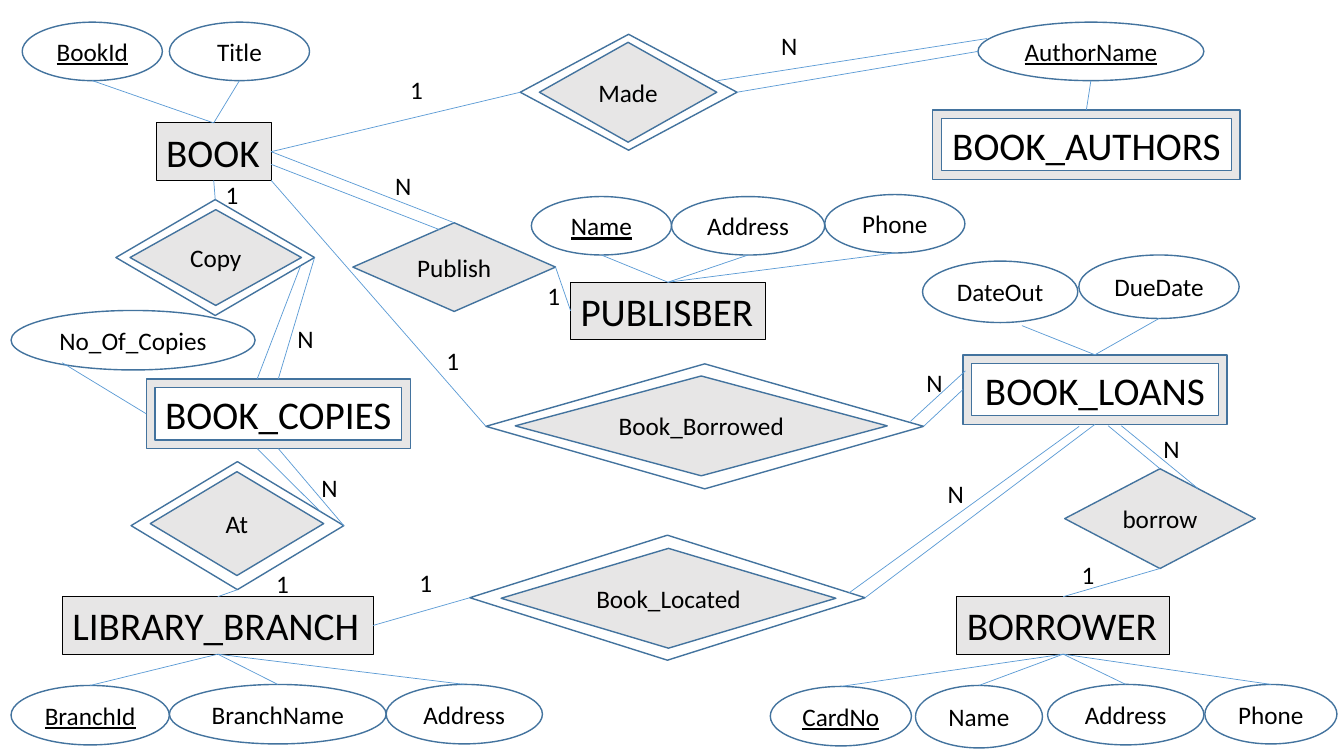
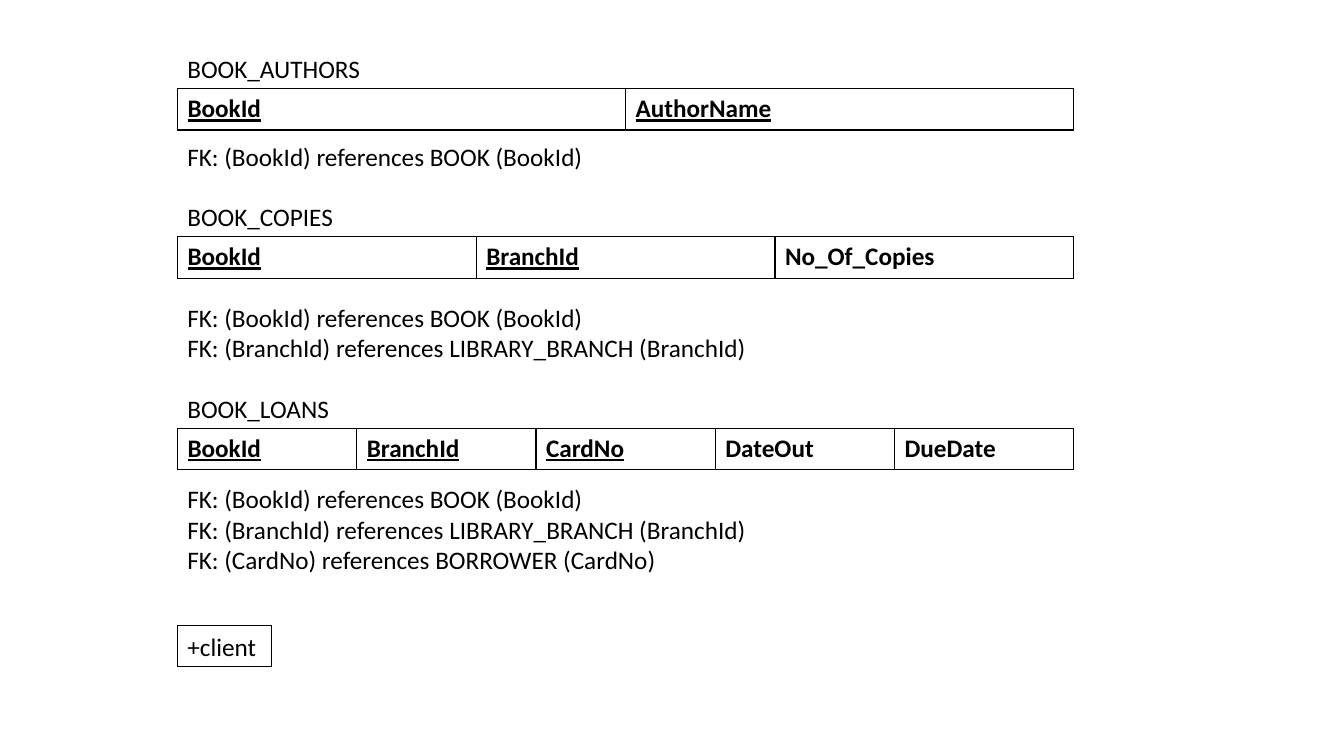
from lxml.etree import SubElement
from pptx import Presentation
from pptx.dml.color import RGBColor
from pptx.enum.shapes import MSO_CONNECTOR, MSO_SHAPE
from pptx.enum.text import MSO_ANCHOR, MSO_AUTO_SIZE, PP_ALIGN
from pptx.oxml.ns import qn
from pptx.util import Inches, Pt

# The slide is a grid of 13.33 columns by 7.5 rows, each cell one inch.
COLUMNS, ROWS = 13.33, 7.5
FONT = "Calibri"
BODY_SIZE, ENTITY_SIZE = 18, 28
BLACK = RGBColor(0x00, 0x00, 0x00)
GREY = RGBColor(0xE7, 0xE6, 0xE6)
OUTLINE = RGBColor(0x43, 0x73, 0x9E)
LINK = RGBColor(0x5B, 0x9B, 0xD5)

# Anchors are shares of a shape's width and height.
TOP, BOTTOM, LEFT, RIGHT = (0.5, 0), (0.5, 1), (0, 0.5), (1, 0.5)

# name: (box, is weak)
ENTITIES = {
    "BOOK": ((1.55, 1.22, 1.14, 0.57), False),
    "PUBLISBER": ((5.66, 2.8, 1.93, 0.57), False),
    "LIBRARY_BRANCH": ((0.62, 5.92, 3.08, 0.57), False),
    "BORROWER": ((9.49, 5.92, 2.11, 0.57), False),
    "BOOK_COPIES": ((1.45, 3.76, 2.62, 0.69), True),
    "BOOK_LOANS": ((9.55, 3.52, 2.62, 0.69), True),
    "BOOK_AUTHORS": ((9.25, 1.09, 3.05, 0.69), True),
}

# owner, its anchor, the attributes' anchor, [(name, box, is key)]
ATTRIBUTES = [
    ("BOOK", TOP, BOTTOM, [
        ("BookId", (0.22, 0.22, 1.39, 0.58), True),
        ("Title", (1.68, 0.22, 1.39, 0.58), False)]),
    ("PUBLISBER", TOP, BOTTOM, [
        ("Name", (5.27, 1.95, 1.39, 0.58), True),
        ("Address", (6.66, 1.95, 1.52, 0.58), False),
        ("Phone", (8.18, 1.93, 1.39, 0.58), False)]),
    ("BOOK_AUTHORS", TOP, BOTTOM, [
        ("AuthorName", (9.7, 0.22, 2.24, 0.58), True)]),
    ("BOOK_COPIES", LEFT, (0.21, 0.88), [
        ("No_Of_Copies", (0.11, 3.08, 2.42, 0.59), False)]),
    ("LIBRARY_BRANCH", BOTTOM, TOP, [
        ("BranchId", (0.11, 6.8, 1.57, 0.59), True),
        ("BranchName", (1.68, 6.79, 2.15, 0.59), False),
        ("Address", (3.83, 6.79, 1.55, 0.59), False)]),
    ("BORROWER", BOTTOM, TOP, [
        ("CardNo", (7.64, 6.81, 1.4, 0.59), True),
        ("Name", (9.08, 6.8, 1.26, 0.62), False),
        ("Address", (10.39, 6.79, 1.55, 0.6), False),
        ("Phone", (11.95, 6.79, 1.31, 0.59), False)]),
    ("BOOK_LOANS", TOP, (0.64, 1.05), [
        ("DateOut", (9.15, 2.59, 1.54, 0.61), False)]),
    ("BOOK_LOANS", TOP, BOTTOM, [
        ("DueDate", (10.7, 2.53, 1.59, 0.63), False)]),
]

# name: (box, box of the outer diamond of an identifying relationship)
RELATIONSHIPS = {
    "Made": ((5.35, 0.42, 1.76, 0.99), (5.16, 0.34, 2.15, 1.15)),
    "Publish": ((3.5, 2.21, 2.01, 0.88), None),
    "Copy": ((1.29, 2.08, 1.7, 0.95), (1.15, 1.98, 1.97, 1.15)),
    "At": ((1.49, 4.68, 1.72, 1.03), (1.3, 4.58, 2.11, 1.27)),
    "borrow": ((10.56, 4.65, 1.89, 0.99), None),
    "Book_Located": ((4.97, 5.44, 3.32, 0.99), (4.66, 5.31, 3.92, 1.24)),
    "Book_Borrowed": ((5.11, 3.73, 3.69, 0.99), (4.82, 3.61, 4.34, 1.24)),
}

# relationship, its anchor, partner, its anchor
LINKS = [
    ("Made", LEFT, "BOOK", RIGHT),
    ("Made", RIGHT, "AuthorName", LEFT),
    ("Made", (0.91, 0.4), "AuthorName", (0.04, 0.28)),
    ("Copy", TOP, "BOOK", BOTTOM),
    ("Copy", RIGHT, "BOOK_COPIES", TOP),
    ("Copy", (0.93, 0.57), "BOOK_COPIES", (0.42, 0)),
    ("At", BOTTOM, "LIBRARY_BRANCH", TOP),
    ("At", RIGHT, "BOOK_COPIES", BOTTOM),
    ("At", (0.89, 0.39), "BOOK_COPIES", (0.42, 1)),
    ("Publish", RIGHT, "PUBLISBER", LEFT),
    ("Publish", TOP, "BOOK", RIGHT),
    ("Publish", (0.43, 0.08), "BOOK", (1, 0.72)),
    ("Book_Borrowed", LEFT, "BOOK", (1, 1)),
    ("Book_Borrowed", RIGHT, "BOOK_LOANS", LEFT),
    ("Book_Borrowed", (0.97, 0.46), "BOOK_LOANS", (0.01, 0.23)),
    ("Book_Located", LEFT, "LIBRARY_BRANCH", RIGHT),
    ("Book_Located", RIGHT, "BOOK_LOANS", BOTTOM),
    ("Book_Located", (0.96, 0.46), "BOOK_LOANS", (0.44, 1.03)),
    ("borrow", BOTTOM, "BORROWER", TOP),
    ("borrow", TOP, "BOOK_LOANS", (0.55, 1.02)),
    ("borrow", (0.7, 0.2), "BOOK_LOANS", (0.6, 1.02)),
]

CARDINALITIES = {
    "N": [(7.65, 0.25), (3.82, 1.64), (2.85, 3.16), (3.09, 4.64),
          (9.09, 3.59), (9.3, 4.7), (11.44, 4.25)],
    "1": [(3.97, 0.69), (2.14, 1.73), (2.64, 5.59), (5.33, 2.73),
          (4.33, 3.38), (4.06, 5.58), (10.63, 5.5)],
}

FK_BOOK = "FK: (BookId) references BOOK (BookId)"
FK_BRANCH = "FK: (BranchId) references LIBRARY_BRANCH (BranchId)"
FK_CARD = "FK: (CardNo) references BORROWER (CardNo)"
# name, table top, columns, number of key columns, foreign keys, their top
RELATIONS = [
    ("BOOK_AUTHORS", 0.88, ["BookId", "AuthorName"], 2, [FK_BOOK], 1.35),
    ("BOOK_COPIES", 2.35, ["BookId", "BranchId", "No_Of_Copies"], 2,
     [FK_BOOK, FK_BRANCH], 2.95),
    ("BOOK_LOANS", 4.25,
     ["BookId", "BranchId", "CardNo", "DateOut", "DueDate"], 3,
     [FK_BOOK, FK_BRANCH, FK_CARD], 4.75),
]
SCHEMA_LEFT, SCHEMA_WIDTH, LINE_HEIGHT = 1.76, 8.89, 0.4
RELATION_NAME_WIDTH = 2


def cells(box):
    """Turn grid columns and rows into slide lengths."""
    return [Inches(value) for value in box]


def write(frame, lines, size=BODY_SIZE, align=None, bold=False, underline=False):
    """Fill a text frame with one paragraph per line."""
    frame.text = "\n".join(lines)
    for paragraph in frame.paragraphs:
        paragraph.alignment = align
        font = paragraph.font
        font.name, font.size, font.color.rgb = FONT, Pt(size), BLACK
        font.bold, font.underline = bold, underline


def add_text(slide, box, lines, size=BODY_SIZE, fill=None, outlined=False):
    """Add a text box that fits its text, optionally filled and outlined."""
    shape = slide.shapes.add_textbox(*cells(box))
    write(shape.text_frame, lines, size)
    shape.text_frame.word_wrap = False
    shape.text_frame.auto_size = MSO_AUTO_SIZE.SHAPE_TO_FIT_TEXT
    if fill is not None:
        shape.fill.solid()
        shape.fill.fore_color.rgb = fill
    if outlined:
        shape.line.color.rgb, shape.line.width = BLACK, Pt(0.75)


def add_node(slide, kind, box, label="", fill=None, size=BODY_SIZE, underline=False):
    """Add a blue-outlined diagram shape with a centred label."""
    shape = slide.shapes.add_shape(kind, *cells(box))
    shape.shadow.inherit = False
    if fill is None:
        shape.fill.background()
    else:
        shape.fill.solid()
        shape.fill.fore_color.rgb = fill
    shape.line.color.rgb, shape.line.width = OUTLINE, Pt(1)
    if label:
        shape.text_frame.vertical_anchor = MSO_ANCHOR.MIDDLE
        write(shape.text_frame, [label], size, PP_ALIGN.CENTER, underline=underline)


def anchor_point(box, anchor):
    """Return the place of an anchor in a box."""
    left, top, width, height = box
    return cells((left + anchor[0] * width, top + anchor[1] * height))


def add_link(slide, start_box, start_anchor, end_box, end_anchor):
    """Join two boxes with a thin line."""
    connector = slide.shapes.add_connector(
        MSO_CONNECTOR.STRAIGHT, *anchor_point(start_box, start_anchor),
        *anchor_point(end_box, end_anchor))
    connector.line.color.rgb, connector.line.width = LINK, Pt(0.5)
    SubElement(connector._element.spPr, qn("a:effectLst"))


def add_entity(slide, name, box, weak):
    """Add an entity: a grey box, or a frame when it is weak."""
    if weak:
        add_node(slide, MSO_SHAPE.FRAME, box, name, GREY, ENTITY_SIZE)
    else:
        add_text(slide, box, [name], ENTITY_SIZE, GREY, outlined=True)


def add_relationship(slide, name, box, outer):
    """Add a relationship diamond, doubled when it is identifying."""
    add_node(slide, MSO_SHAPE.DIAMOND, box, name, GREY)
    if outer:
        add_node(slide, MSO_SHAPE.FLOWCHART_DECISION, outer)


def build_diagram(slide):
    """Draw the entity-relationship diagram."""
    boxes = {}
    for name, (box, weak) in ENTITIES.items():
        add_entity(slide, name, box, weak)
        boxes[name] = box
    for name, (box, outer) in RELATIONSHIPS.items():
        add_relationship(slide, name, box, outer)
        boxes[name] = outer or box
    for owner, owner_anchor, anchor, attributes in ATTRIBUTES:
        for name, box, is_key in attributes:
            add_node(slide, MSO_SHAPE.OVAL, box, name, underline=is_key)
            add_link(slide, boxes[owner], owner_anchor, box, anchor)
            boxes[name] = box
    for relationship, start, partner, end in LINKS:
        add_link(slide, boxes[relationship], start, boxes[partner], end)
    for label, places in CARDINALITIES.items():
        for left, top in places:
            add_text(slide, (left, top, 0.35, LINE_HEIGHT), [label])


def border_cell(cell):
    """Give a table cell thin black borders."""
    properties = cell._tc.get_or_add_tcPr()
    for position, side in enumerate(("a:lnL", "a:lnR", "a:lnT", "a:lnB")):
        line = SubElement(properties, qn(side), w=str(Pt(1)))
        fill = SubElement(line, qn("a:solidFill"))
        SubElement(fill, qn("a:srgbClr"), val=str(BLACK))
        properties.insert(position, line)


def add_relation(slide, name, top, columns, key_count, foreign_keys, keys_top):
    """Add a relation: its name, its row of columns and its foreign keys."""
    add_text(slide, (SCHEMA_LEFT, top - LINE_HEIGHT, RELATION_NAME_WIDTH, LINE_HEIGHT),
             [name])
    table = slide.shapes.add_table(
        1, len(columns), *cells((SCHEMA_LEFT, top, SCHEMA_WIDTH, 0.41))).table
    table.first_row = table.horz_banding = False
    for index, column in enumerate(columns):
        table.columns[index].width = Inches(SCHEMA_WIDTH / len(columns))
        cell = table.cell(0, index)
        cell.fill.background()
        border_cell(cell)
        write(cell.text_frame, [column], bold=True, underline=index < key_count)
    add_text(slide, (SCHEMA_LEFT, keys_top, 5.8, 0.1 + 0.3 * len(foreign_keys)),
             foreign_keys)


def build_schema(slide):
    """List the relations and the closing note."""
    for relation in RELATIONS:
        add_relation(slide, *relation)
    add_text(slide, (SCHEMA_LEFT, 6.21, 0.93, LINE_HEIGHT), ["+client"], outlined=True)


presentation = Presentation()
presentation.slide_width, presentation.slide_height = cells((COLUMNS, ROWS))
for build in (build_diagram, build_schema):
    build(presentation.slides.add_slide(presentation.slide_layouts[6]))
presentation.save("out.pptx")
